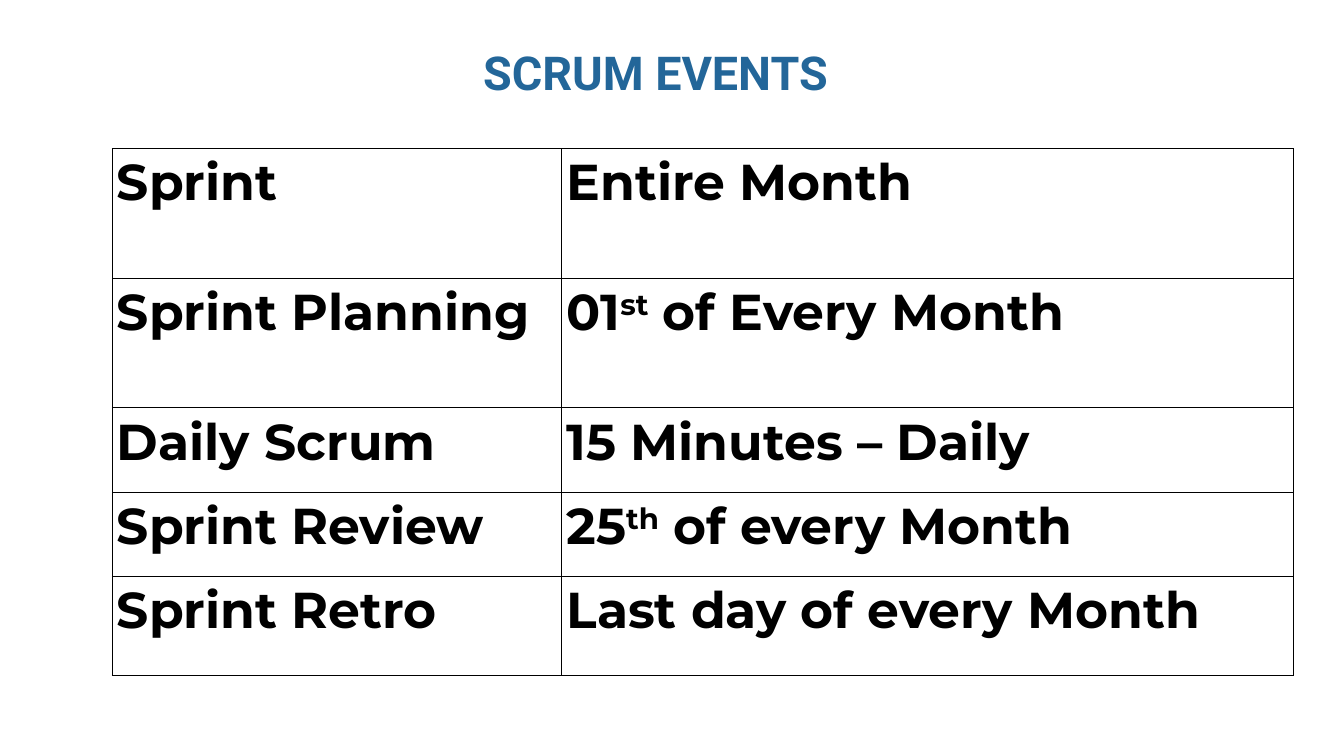
from lxml.etree import SubElement
from pptx import Presentation
from pptx.dml.color import RGBColor
from pptx.enum.text import MSO_ANCHOR, PP_ALIGN
from pptx.oxml.ns import qn
from pptx.util import Inches, Pt

WIDE, HIGH = 20, 11.25
INK, BLUE, WHITE = "000000", "236699", "FFFFFF"
COLS = [6.69, 10.89]
ROWS = [1.93, 1.93, 1.26, 1.25, 1.47]
# Every second run of a cell is a superscript.
EVENTS = [
    (["Sprint"], ["Entire Month"]),
    (["Sprint Planning"], ["01", "st", " of Every Month"]),
    (["Daily Scrum"], ["15 Minutes – Daily"]),
    (["Sprint Review"], ["25", "th", " of every Month"]),
    (["Sprint Retro"], ["Last day of every Month"]),
]


def color(code):
    return RGBColor.from_string(code)


def add_run(para, text, size, face, code):
    run = para.add_run()
    run.text = text
    font = run.font
    font.size, font.name, font.bold = Pt(size), face, True
    font.color.rgb = color(code)
    return run


def add_title(slide, box):
    title = slide.shapes.title
    title.left, title.top, title.width, title.height = map(Inches, box)
    frame = title.text_frame
    frame.margin_left = frame.margin_right = 0
    frame.margin_top = frame.margin_bottom = 0
    frame.vertical_anchor = MSO_ANCHOR.TOP
    para = frame.paragraphs[0]
    para.alignment = PP_ALIGN.LEFT
    add_run(para, "SCRUM EVENTS", 50, "Roboto", BLUE)


def add_edges(cell):
    """Draw a thin line on all four sides, ahead of the cell's fill."""
    props = cell._tc.get_or_add_tcPr()
    for side in ("lnL", "lnR", "lnT", "lnB"):
        line = SubElement(props, qn("a:" + side), w=str(Pt(1)))
        fill = SubElement(line, qn("a:solidFill"))
        SubElement(fill, qn("a:srgbClr"), val=INK)


def fill_cell(cell, parts):
    cell.margin_left = cell.margin_right = Inches(0.07)
    cell.margin_top = cell.margin_bottom = Inches(0.05)
    add_edges(cell)
    cell.fill.solid()
    cell.fill.fore_color.rgb = color(WHITE)
    para = cell.text_frame.paragraphs[0]
    for i, text in enumerate(parts):
        run = add_run(para, text, 54, "Montserrat", INK)
        if i % 2:
            run.font._element.set("baseline", "30000")


def add_events(slide, box):
    frame = slide.shapes.add_table(len(ROWS), len(COLS), *map(Inches, box))
    table = frame.table
    table.first_row = table.horz_banding = False
    for col, width in zip(table.columns, COLS):
        col.width = Inches(width)
    for row, height, event in zip(table.rows, ROWS, EVENTS):
        row.height = Inches(height)
        for cell, parts in zip(row.cells, event):
            fill_cell(cell, parts)


def main():
    deck = Presentation()
    deck.slide_width, deck.slide_height = Inches(WIDE), Inches(HIGH)
    slide = deck.slides.add_slide(deck.slide_layouts[5])
    add_events(slide, (1.67, 2.21, sum(COLS), sum(ROWS)))
    add_title(slide, (7.19, 0.65, 5.63, 0.84))
    deck.save("out.pptx")


if __name__ == "__main__":
    main()
